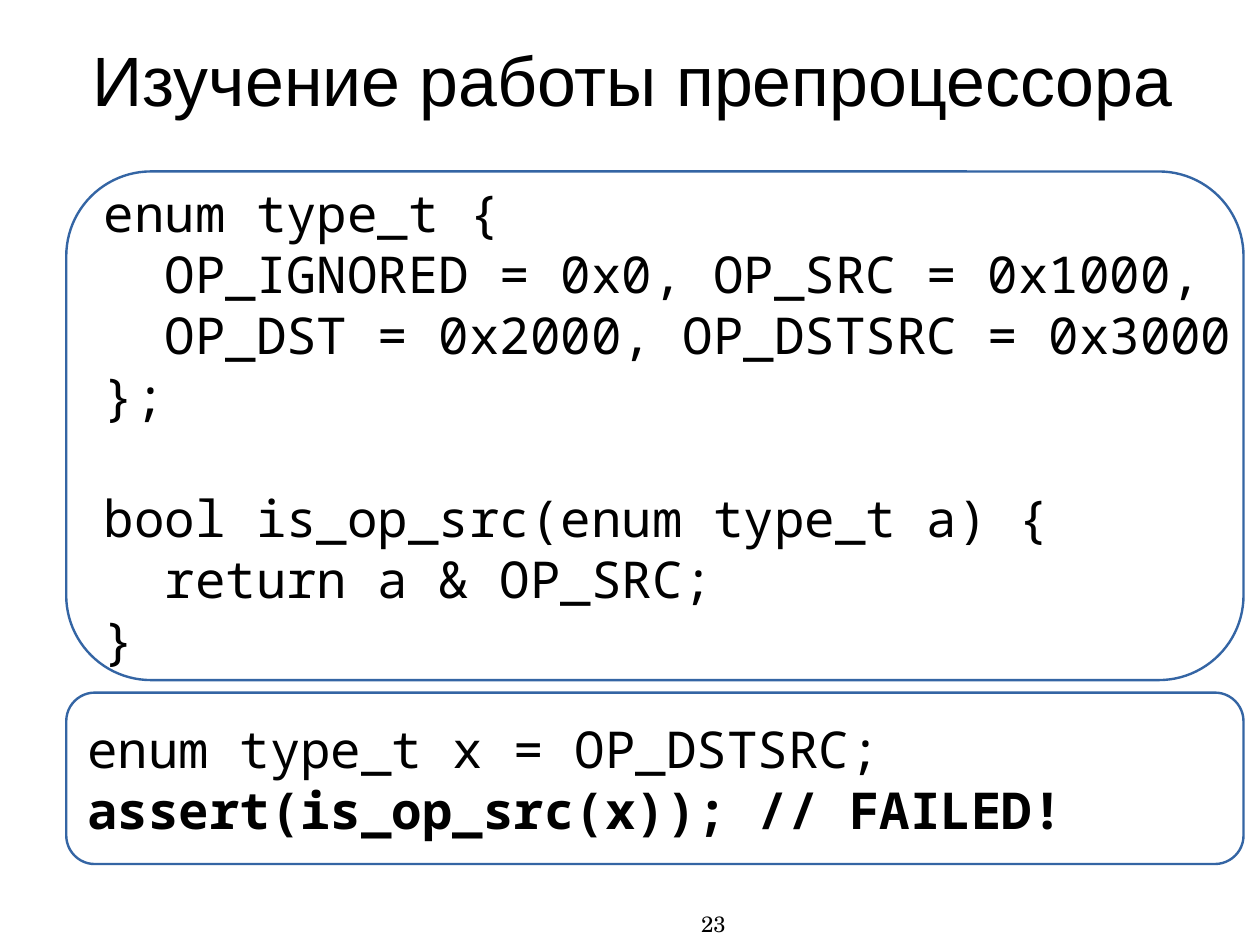
from pptx import Presentation
from pptx.dml.color import RGBColor
from pptx.enum.shapes import MSO_SHAPE
from pptx.enum.text import MSO_ANCHOR, PP_ALIGN
from pptx.util import Cm, Inches, Pt

# Content
TITLE = "Изучение работы препроцессора"
PAGE_NUMBER = "23"
ENUM_CODE = """enum type_t {
  OP_IGNORED = 0x0, OP_SRC = 0x1000,
  OP_DST = 0x2000, OP_DSTSRC = 0x3000
};"""
FUNCTION_CODE = ["bool is_op_src(enum type_t a) {", "  return a & OP_SRC;", "}"]
USAGE_CODE = "enum type_t x = OP_DSTSRC;"
ASSERT_CODE = "assert(is_op_src(x)); // FAILED!"

# Formats
COLORS = {"text": "000000", "panel": "FFFFFF", "outline": "3465A4"}
TITLE_FONT = {"name": "Arial", "size": Pt(44)}
CODE_FONT = {"name": "Noto Sans Mono", "size": Pt(32)}
ASSERT_FONT = {**CODE_FONT, "bold": True}
NUMBER_FONT = {"name": "TeX Gyre Schola", "size": Pt(14)}
CODE_LINE = Pt(38.4)
NO_MARGIN = (0, 0)
PANEL_MARGIN = (0.11, 0.06)

# Layout: slide in centimetres, parts in inches
SLIDE_WIDTH, SLIDE_HEIGHT = Cm(28), Cm(21)
LEFT, PANEL_WIDTH = 0.58, 10.3
PANEL_TOP, PANEL_GAP = 1.5, 0.11
FUNCTION_LINES = [(line, CODE_FONT, None if row else CODE_LINE)
                  for row, line in enumerate(FUNCTION_CODE)]
PANELS = [  # height, then (code, font, space before) for each paragraph
    (4.45, [(ENUM_CODE, CODE_FONT, None), *FUNCTION_LINES]),
    (1.5, [(USAGE_CODE, CODE_FONT, None), (ASSERT_CODE, ASSERT_FONT, None)]),
]


def color(key):
    return RGBColor.from_string(COLORS[key])


def write(shape, paragraphs, align, anchor, margin, wrap):
    frame = shape.text_frame
    across, down = (Inches(side) for side in margin)
    settings = {"word_wrap": wrap, "vertical_anchor": anchor,
                "margin_left": across, "margin_right": across,
                "margin_top": down, "margin_bottom": down}
    for key, value in settings.items():
        setattr(frame, key, value)
    for index, (text, font, space) in enumerate(paragraphs):
        paragraph = frame.paragraphs[0] if index == 0 else frame.add_paragraph()
        paragraph.alignment = align
        if space:
            paragraph.space_before = space
        paragraph.text = text.replace("\n", "\v")
        for run in paragraph.runs:
            for key, value in font.items():
                setattr(run.font, key, value)
            run.font.color.rgb = color("text")


def main():
    deck = Presentation()
    deck.slide_width, deck.slide_height = SLIDE_WIDTH, SLIDE_HEIGHT
    slide = deck.slides.add_slide(deck.slide_layouts[6])

    # Title and page number
    labels = [
        ((LEFT, 0, 9.92, 1.38), TITLE, TITLE_FONT, PP_ALIGN.CENTER, MSO_ANCHOR.MIDDLE),
        ((3.78, 7.96, 2.57, 0.31), PAGE_NUMBER, NUMBER_FONT, PP_ALIGN.RIGHT, MSO_ANCHOR.TOP),
    ]
    for place, text, font, align, anchor in labels:
        label = slide.shapes.add_textbox(*(Inches(side) for side in place))
        write(label, [(text, font, None)], align, anchor, NO_MARGIN, True)

    # Code panels, stacked downwards
    top = PANEL_TOP
    for height, paragraphs in PANELS:
        place = (LEFT, top, PANEL_WIDTH, height)
        panel = slide.shapes.add_shape(
            MSO_SHAPE.ROUNDED_RECTANGLE, *(Inches(side) for side in place))
        panel.shadow.inherit = False
        panel.fill.solid()
        panel.fill.fore_color.rgb = color("panel")
        panel.line.color.rgb = color("outline")
        panel.line.width = Pt(1.5)
        write(panel, paragraphs, PP_ALIGN.LEFT, MSO_ANCHOR.MIDDLE, PANEL_MARGIN, False)
        top += height + PANEL_GAP

    deck.save("out.pptx")


if __name__ == "__main__":
    main()
